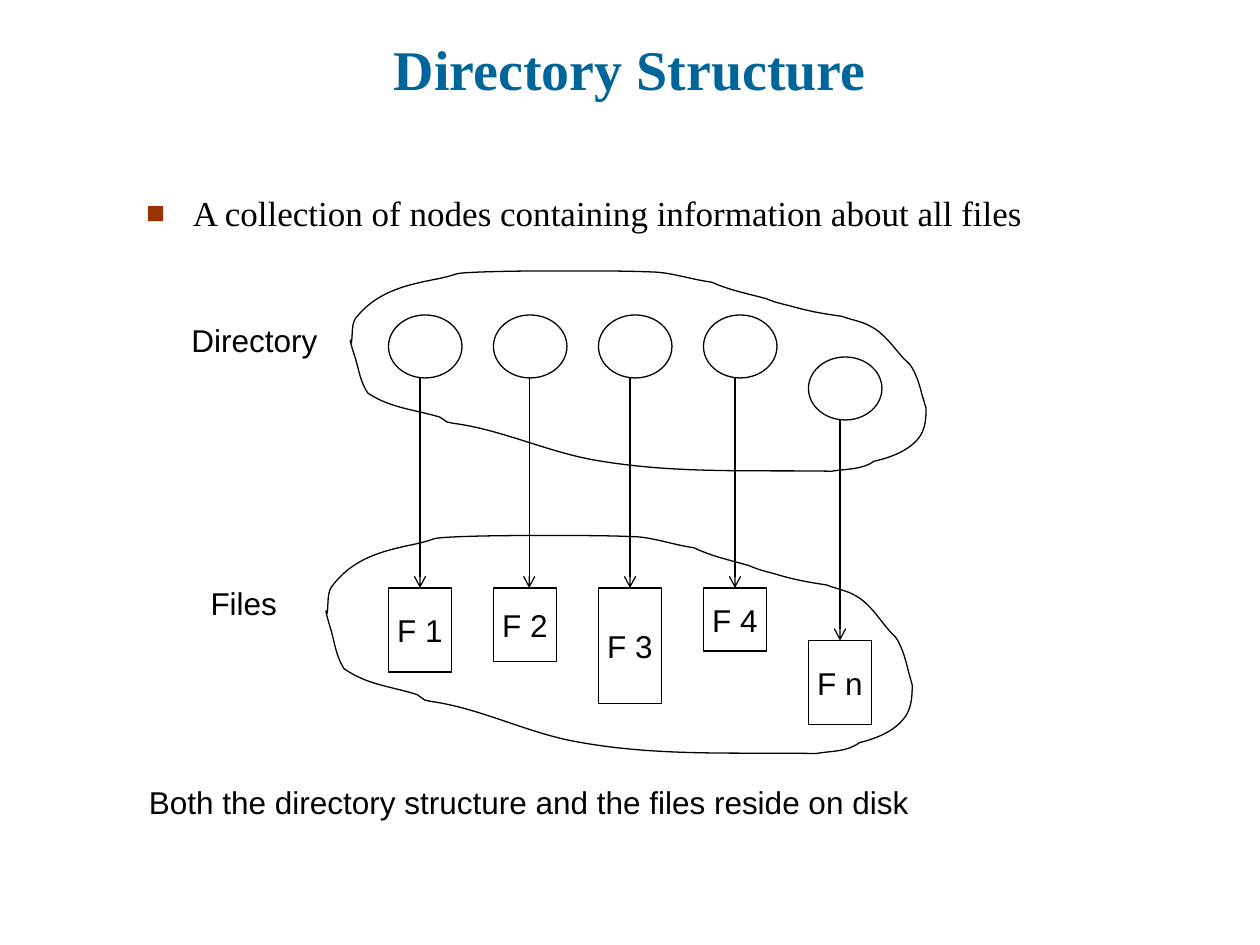
import lxml.etree
import pptx
import pptx.dml.color
import pptx.enum.shapes
import pptx.enum.text
import pptx.oxml
import pptx.oxml.ns
import pptx.util

BLACK = pptx.dml.color.RGBColor(0x00, 0x00, 0x00)
WHITE = pptx.dml.color.RGBColor(0xFF, 0xFF, 0xFF)
TITLE_BLUE = pptx.dml.color.RGBColor(0x00, 0x66, 0x99)
BULLET_RED = pptx.dml.color.RGBColor(0x99, 0x33, 0x00)

presentation = pptx.Presentation()
presentation.slide_width = pptx.util.Inches(10)
presentation.slide_height = pptx.util.Inches(7.5)
slide = presentation.slides.add_slide(presentation.slide_layouts[1])
shapes = slide.shapes
CELL = presentation.slide_width / 120


def grid(*cells):
    return [round(cell * CELL) for cell in cells]


def write(shape, text, size, font_name, color=BLACK, align=None, anchor=None, wrap=True):
    frame = shape.text_frame
    frame.word_wrap = wrap
    frame.auto_size = pptx.enum.text.MSO_AUTO_SIZE.NONE
    frame.vertical_anchor = anchor
    paragraph = frame.paragraphs[0]
    paragraph.alignment = align
    paragraph.space_before = pptx.util.Pt(0)
    run = paragraph.add_run()
    run.text = text
    run.font.size = pptx.util.Pt(size)
    run.font.name = font_name
    run.font.color.rgb = color
    return paragraph


CENTER = pptx.enum.text.PP_ALIGN.CENTER
MIDDLE = pptx.enum.text.MSO_ANCHOR.MIDDLE

title = shapes.title
title.left, title.top, title.width, title.height = grid(6, 2.76, 108, 7.56)
paragraph = write(title, "Directory Structure", 32, "Times New Roman", TITLE_BLUE,
                  CENTER, pptx.enum.text.MSO_ANCHOR.BOTTOM)
paragraph.runs[0].font.bold = True

body = slide.placeholders[1]
body.left, body.top, body.width, body.height = grid(12.72, 18.05, 96.72, 4.68)
paragraph = write(body, "A collection of nodes containing information about all files",
                  20, "Times New Roman", anchor=pptx.enum.text.MSO_ANCHOR.TOP)
paragraph.line_spacing = 0.9
properties = paragraph._p.get_or_add_pPr()
properties.set("marL", str(pptx.util.Inches(0.37)))
properties.set("indent", str(-pptx.util.Inches(0.37)))
namespace = pptx.oxml.ns.nsdecls("a")
for bullet_xml in (
    f'<a:buClr {namespace}><a:srgbClr val="{BULLET_RED}"/></a:buClr>',
    f'<a:buSzPct {namespace} val="90000"/>',
    f'<a:buFont {namespace} typeface="Arial"/>',
    f'<a:buChar {namespace} char="■"/>',
):
    properties.append(pptx.oxml.parse_xml(bullet_xml))

FIRST_COLUMN, COLUMN_STEP = 37, 10
NODE_WIDTH, NODE_HEIGHT, FILE_WIDTH = 7, 6, 6
files = [
    ("F 1", 30, 56, 8, 0),
    ("F 2", 30, 56, 7, 0.4),
    ("F 3", 30, 56, 11, 0),
    ("F 4", 30, 56, 6, 0),
    ("F n", 34, 61, 8, 0),
]
outlined = []
file_boxes = []
for index, (name, node_top, file_top, file_height, shift) in enumerate(files):
    left = FIRST_COLUMN + index * COLUMN_STEP
    node = shapes.add_shape(pptx.enum.shapes.MSO_SHAPE.OVAL,
                            *grid(left, node_top, NODE_WIDTH, NODE_HEIGHT))
    file_box = shapes.add_shape(pptx.enum.shapes.MSO_SHAPE.RECTANGLE,
                                *grid(left, file_top, FILE_WIDTH, file_height))
    for shape in (node, file_box):
        shape.fill.solid()
        shape.fill.fore_color.rgb = WHITE
        shape.shadow.inherit = False
    write(file_box, name, 18, "Arial", align=CENTER, anchor=MIDDLE, wrap=False)
    file_boxes.append(file_box)
    outlined += [node, file_box]

for index, (name, node_top, file_top, file_height, shift) in enumerate(files):
    center = FIRST_COLUMN + index * COLUMN_STEP + FILE_WIDTH / 2 + shift
    arrow = shapes.add_connector(pptx.enum.shapes.MSO_CONNECTOR.STRAIGHT,
                                 *grid(center, node_top + NODE_HEIGHT, center, file_top))
    if shift == 0:
        arrow.end_connect(file_boxes[index], 0)
    line = arrow.line._get_or_add_ln()
    lxml.etree.SubElement(line, pptx.oxml.ns.qn("a:tailEnd"), type="arrow")
    lxml.etree.SubElement(arrow._element.spPr, pptx.oxml.ns.qn("a:effectLst"))
    outlined.append(arrow)

CLOUD_WIDTH, CLOUD_HEIGHT = 457, 160
CLOUD_START = (1, 57)
CLOUD_CURVES = [
    ((2, 50), (1, 43), (4, 38)), ((21, 16), (45, 11), (71, 6)),
    ((89, 2), (79, 2), (101, 1)), ((126, 0), (151, 0), (177, 0)),
    ((199, 0), (221, 0), (243, 1)), ((257, 2), (272, 7), (287, 9)),
    ((300, 15), (315, 18), (330, 22)), ((337, 25), (342, 26), (350, 28)),
    ((364, 32), (375, 34), (390, 36)), ((398, 39), (406, 40), (413, 44)),
    ((423, 49), (430, 59), (437, 67)), ((440, 71), (444, 73), (446, 77)),
    ((450, 84), (452, 91), (454, 99)), ((455, 102), (457, 109), (457, 109)),
    ((457, 113), (457, 122), (454, 128)), ((448, 141), (430, 148), (416, 151)),
    ((406, 158), (394, 157), (382, 159)), ((318, 158), (260, 161), (199, 151)),
    ((159, 145), (121, 126), (82, 121)), ((80, 121), (79, 120), (77, 120)),
    ((75, 119), (73, 117), (71, 116)), ((51, 110), (32, 109), (14, 97)),
    ((8, 88), (7, 79), (4, 69)), ((4, 69), (0, 57), (0, 55)),
    ((0, 54), (1, 56), (1, 57)),
]
outline = [CLOUD_START] + [point for curve in CLOUD_CURVES for point in curve]

for left, top, width, height in ((33.36, 25.8, 54.84, 19.2), (31.04, 51, 55.84, 20.9)):
    points = [grid(left + x / CLOUD_WIDTH * width, top + y / CLOUD_HEIGHT * height)
              for x, y in outline]
    builder = shapes.build_freeform(*points[0])
    builder.add_line_segments(points[1:], close=True)
    cloud = builder.convert_to_shape()
    segments = cloud._element.xpath(".//a:lnTo")
    for first in range(0, 3 * len(CLOUD_CURVES), 3):
        curve = lxml.etree.Element(pptx.oxml.ns.qn("a:cubicBezTo"))
        segments[first].addprevious(curve)
        for segment in segments[first:first + 3]:
            curve.append(segment[0])
            segment.getparent().remove(segment)
    cloud.fill.background()
    cloud.shadow.inherit = False
    outlined.append(cloud)

for shape in outlined:
    shape.line.color.rgb = BLACK
    shape.line.width = pptx.util.Pt(0.75)

for text, box, align, anchor, wrap in (
    ("Directory", (17.04, 30, 14.4, 4.8), CENTER, MIDDLE, False),
    ("Files", (18.84, 55, 8.76, 4.8), CENTER, MIDDLE, False),
    ("Both the directory structure and the files reside on disk",
     (13, 74, 99.72, 5), None, None, True),
):
    label = shapes.add_textbox(*grid(*box))
    write(label, text, 18, "Arial", align=align, anchor=anchor, wrap=wrap)

presentation.save("out.pptx")
